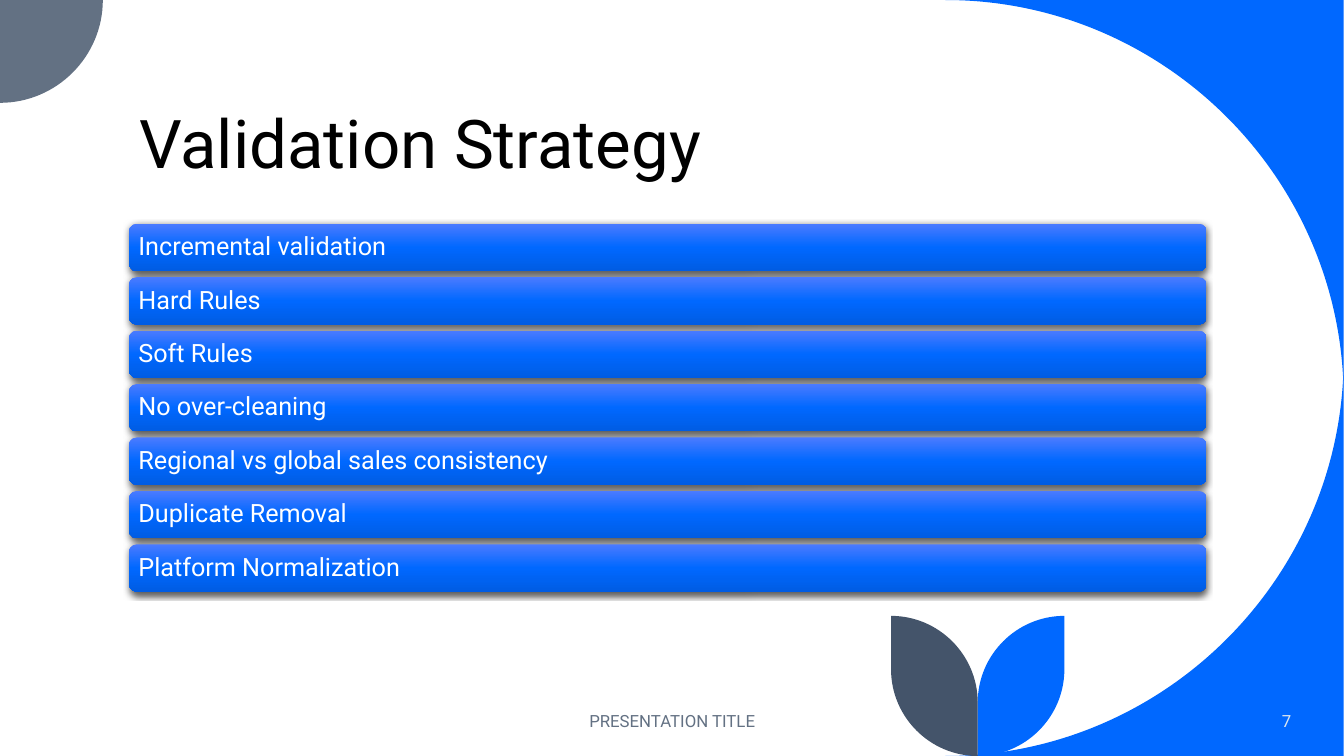
import lxml.etree
import pptx
import pptx.dml.color
import pptx.enum.shapes
import pptx.enum.text
import pptx.oxml.ns
import pptx.util

PX = 9144
FONT = "Roboto"
BLUE = "0068FF"
GREY = "637183"
SLATE = "44546A"
KAPPA = 0.55
BAR_STOPS = [(0, "4B7BFF"), (50, BLUE), (100, "005CE3")]
STRATEGIES = [
    "Incremental validation",
    "Hard Rules",
    "Soft Rules",
    "No over-cleaning",
    "Regional vs global sales consistency",
    "Duplicate Removal",
    "Platform Normalization",
]
ALIGN = pptx.enum.text.PP_ALIGN
ANCHOR = pptx.enum.text.MSO_ANCHOR


def rgb(color):
    return pptx.dml.color.RGBColor.from_string(color)


def box(x, y, w, h):
    return [v * PX for v in (x, y, w, h)]


def add_xml(parent, tag, **attrs):
    return lxml.etree.SubElement(parent, pptx.oxml.ns.qn(tag), attrs)


def set_text(sp, text, size, color, align=ALIGN.LEFT, anchor=ANCHOR.MIDDLE, spacing=1.0):
    tf = sp.text_frame
    tf.text = text
    tf.word_wrap = True
    tf.auto_size = pptx.enum.text.MSO_AUTO_SIZE.NONE
    tf.vertical_anchor = anchor
    p = tf.paragraphs[0]
    p.alignment = align
    p.line_spacing = spacing
    font = p.runs[0].font
    font.name = FONT
    font.size = pptx.util.Pt(size)
    font.color.rgb = rgb(color)


def line(x, y):
    return [(x, y)]


def quarter(start, corner, end):
    controls = [tuple(a + KAPPA * (c - a) for a, c in zip(point, corner)) for point in (start, end)]
    return controls + [end]


def add_outline(s, color, start, *segments):
    builder = s.shapes.build_freeform(*[v * PX for v in start], scale=1.0)
    builder.add_line_segments([(x * PX, y * PX) for seg in segments for x, y in seg], close=True)
    sp = builder.convert_to_shape()
    sp.fill.solid()
    sp.fill.fore_color.rgb = rgb(color)
    sp.line.fill.background()
    sp.shadow.inherit = False

    steps = iter(list(sp._element.spPr.iter(pptx.oxml.ns.qn("a:lnTo"))))
    for seg in segments:
        first, *others = [next(steps) for _ in seg]
        if others:
            first.tag = pptx.oxml.ns.qn("a:cubicBezTo")
        for step in others:
            first.append(step[0])
            step.getparent().remove(step)


def add_bar(s, text, x, y, w, h):
    sp = s.shapes.add_shape(pptx.enum.shapes.MSO_SHAPE.ROUNDED_RECTANGLE, *box(x, y, w, h))
    sp.line.fill.background()
    sp.fill.gradient()
    sp.fill.gradient_angle = 270
    stops = sp._element.spPr.find(".//" + pptx.oxml.ns.qn("a:gsLst"))
    for stop in list(stops):
        stops.remove(stop)
    for position, color in BAR_STOPS:
        stop = add_xml(stops, "a:gs", pos=str(position * 1000))
        add_xml(stop, "a:srgbClr", val=color)

    sp.shadow.inherit = False
    effects = sp._element.spPr.find(pptx.oxml.ns.qn("a:effectLst"))
    shadow = add_xml(effects, "a:outerShdw", blurRad=str(pptx.util.Pt(4.5)),
                     dist=str(pptx.util.Pt(1.5)), dir="5400000", rotWithShape="0")
    black = add_xml(shadow, "a:srgbClr", val="000000")
    add_xml(black, "a:alpha", val="63000")

    set_text(sp, text, 18, "FFFFFF", spacing=0.9)
    tf = sp.text_frame
    tf.margin_left = tf.margin_right = 7 * PX
    tf.margin_top = tf.margin_bottom = 7 * PX


def add_label(s, text, x, y, w, h, color, align):
    sp = s.shapes.add_textbox(*box(x, y, w, h))
    set_text(sp, text, 12, color, align)


def add_leaf(s, color, stem, tip):
    add_outline(s, color, (tip, 611), line(tip, 664),
                quarter((tip, 664), (tip, 750), (stem, 750)), line(stem, 697),
                quarter((stem, 697), (stem, 611), (tip, 611)))


def add_decoration(s):
    add_outline(s, BLUE, (1333, 0), line(938, 0),
                quarter((938, 0), (1333, 0), (1333, 395)))
    add_outline(s, BLUE, (1333, 355),
                quarter((1333, 355), (1333, 750), (938, 750)), line(1333, 750))
    add_outline(s, GREY, (0, 0), line(102, 0),
                quarter((102, 0), (102, 102), (0, 102)))
    add_leaf(s, BLUE, 970, 1056)
    add_leaf(s, SLATE, 970, 884)


def main():
    prs = pptx.Presentation()
    prs.slide_width = pptx.util.Inches(40 / 3)
    prs.slide_height = 750 * PX
    s = prs.slides.add_slide(prs.slide_layouts[5])
    add_decoration(s)

    title = s.shapes.title
    title.left, title.top, title.width, title.height = box(128, 42, 1069, 145)
    set_text(title, "Validation Strategy", 48, "000000", anchor=ANCHOR.BOTTOM, spacing=0.9)

    for i, strategy in enumerate(STRATEGIES):
        add_bar(s, strategy, 128, 222 + 53 * i, 1069, 47)

    add_label(s, "PRESENTATION TITLE", 442, 695, 450, 40, GREY, ALIGN.CENTER)
    add_label(s, "7", 1110, 695, 181, 40, "DAE5EF", ALIGN.RIGHT)
    prs.save("out.pptx")


if __name__ == "__main__":
    main()
